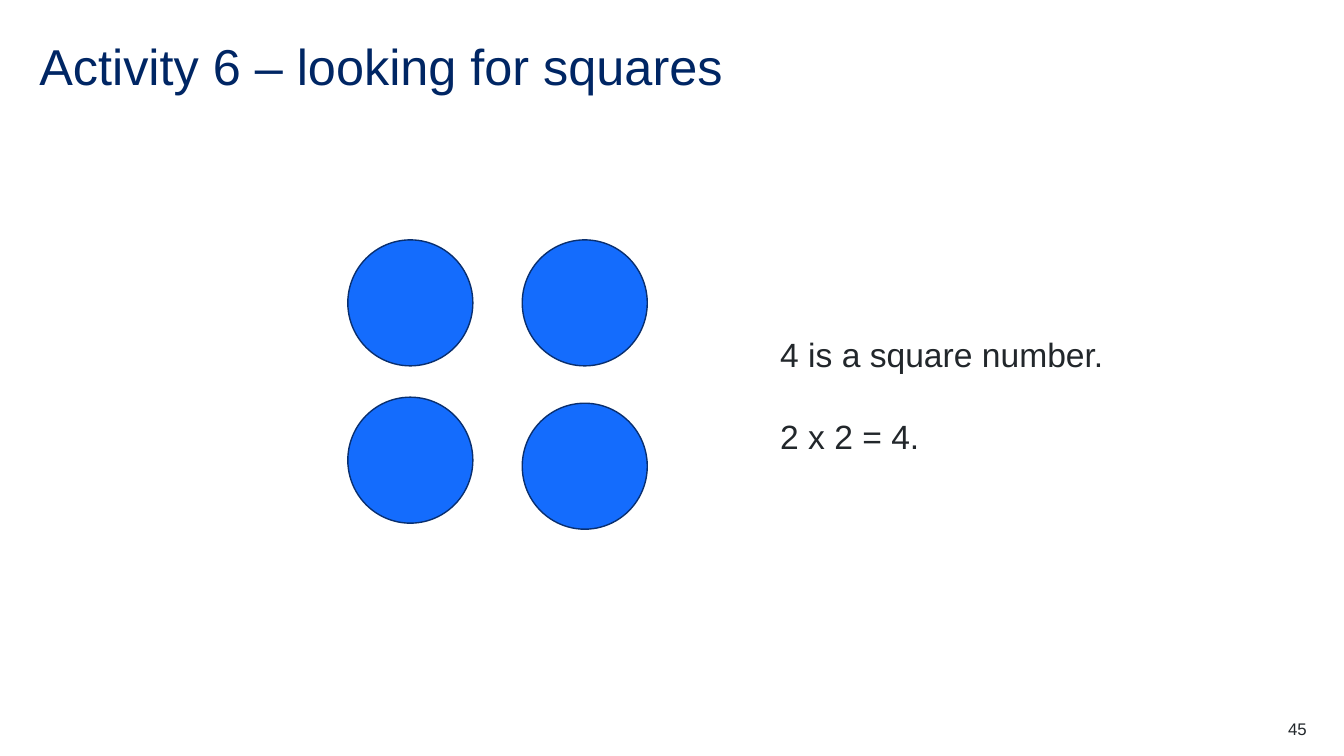
from dataclasses import dataclass

from pptx import Presentation
from pptx.dml.color import RGBColor as RGB
from pptx.enum.shapes import MSO_SHAPE as Shape
from pptx.enum.text import MSO_ANCHOR as Anchor, PP_ALIGN as Align
from pptx.util import Pt

PX = 9144  # EMU per px, 100 px to the inch


@dataclass(frozen=True)
class Theme:
    font: str = "Arial"
    navy: RGB = RGB(0x00, 0x26, 0x64)
    ink: RGB = RGB(0x22, 0x27, 0x2B)
    blue: RGB = RGB(0x14, 0x6C, 0xFD)
    edge: RGB = RGB(0x09, 0x2F, 0x6F)
    head: int = 36
    body: int = 24
    small: int = 12


class Deck:
    def __init__(self, theme, width, height):
        self.theme = theme
        self.file = Presentation()
        self.file.slide_width = width * PX
        self.file.slide_height = height * PX
        self.slide = self.file.slides.add_slide(self.file.slide_layouts[5])

    def style(self, par, size, color):
        par.font.name = self.theme.font
        par.font.size = Pt(size)
        par.font.color.rgb = color

    def frame(self, shape, anchor, inset=True):
        frame = shape.text_frame
        frame.word_wrap = True
        frame.vertical_anchor = anchor
        if not inset:
            frame.margin_left = frame.margin_right = 0
            frame.margin_top = frame.margin_bottom = 0
        return frame

    def title(self, text, x, y, w, h):
        shape = self.slide.shapes.title
        shape.left, shape.top = x * PX, y * PX
        shape.width, shape.height = w * PX, h * PX
        frame = self.frame(shape, Anchor.MIDDLE, inset=False)
        frame.text = text
        par = frame.paragraphs[0]
        par.alignment = Align.LEFT
        par.line_spacing = 0.9
        self.style(par, self.theme.head, self.theme.navy)

    def text(self, lines, x, y, w, h, size, align=Align.LEFT,
             anchor=Anchor.TOP, inset=True, gap=0):
        box = self.slide.shapes.add_textbox(x * PX, y * PX, w * PX, h * PX)
        frame = self.frame(box, anchor, inset)
        frame.text = "\n".join(lines)
        for i, par in enumerate(frame.paragraphs):
            par.alignment = align
            if i:
                par.space_before = Pt(gap)
            self.style(par, size, self.theme.ink)

    def dot(self, x, y, w, h):
        dot = self.slide.shapes.add_shape(
            Shape.OVAL, x * PX, y * PX, w * PX, h * PX)
        dot.shadow.inherit = False
        dot.fill.solid()
        dot.fill.fore_color.rgb = self.theme.blue
        dot.line.color.rgb = self.theme.edge
        dot.line.width = Pt(1)


def main():
    theme = Theme()
    deck = Deck(theme, 1333, 750)

    # Heading and page number
    deck.title("Activity 6 – looking for squares", 39, 39, 1256, 60)
    deck.text(["45"], 1217, 713, 79, 20, theme.small,
              align=Align.RIGHT, anchor=Anchor.BOTTOM, inset=False)

    # Two columns of dots, the right one spaced a little wider
    for x, step in ((345, 156), (518, 162)):
        for row in range(2):
            deck.dot(x, 238 + row * step, 124, 125)

    # Explanation
    deck.text(["4 is a square number.", "2 x 2 = 4."],
              764, 326, 406, 131, theme.body, gap=30)

    deck.file.save("out.pptx")


if __name__ == "__main__":
    main()
